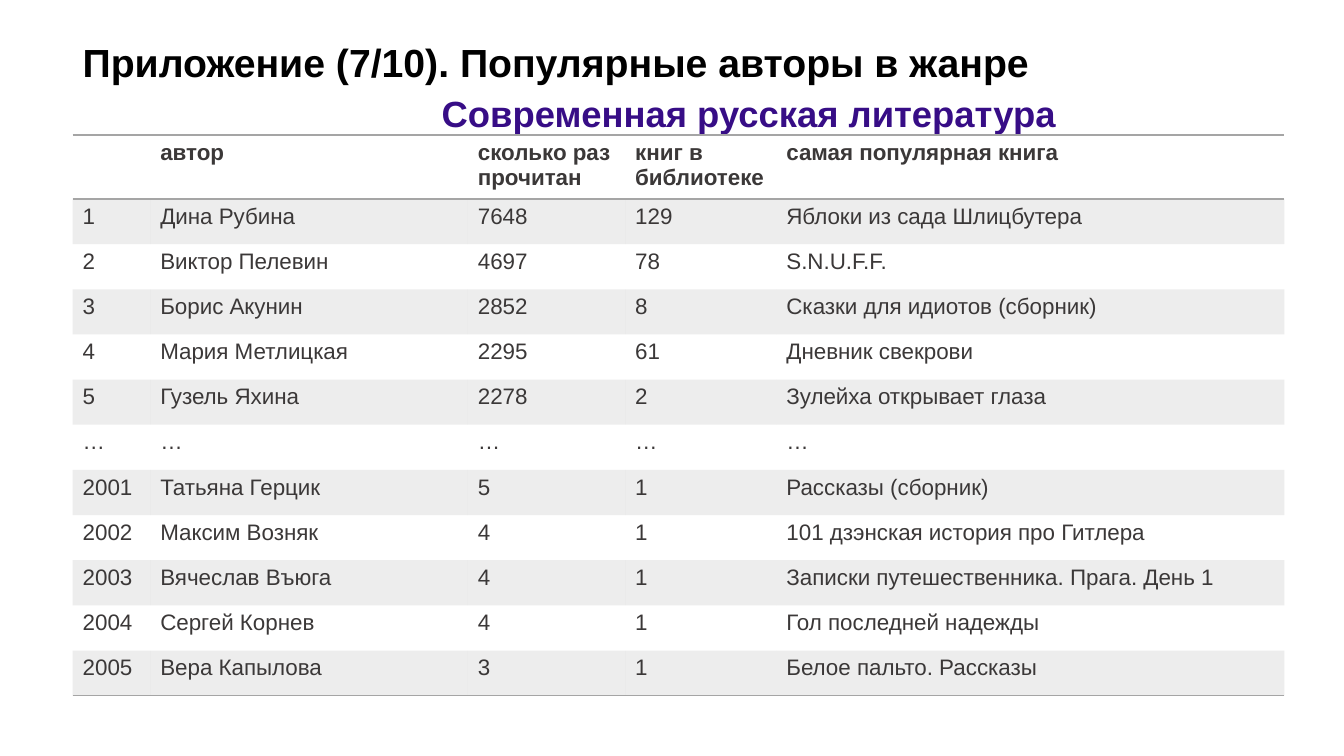
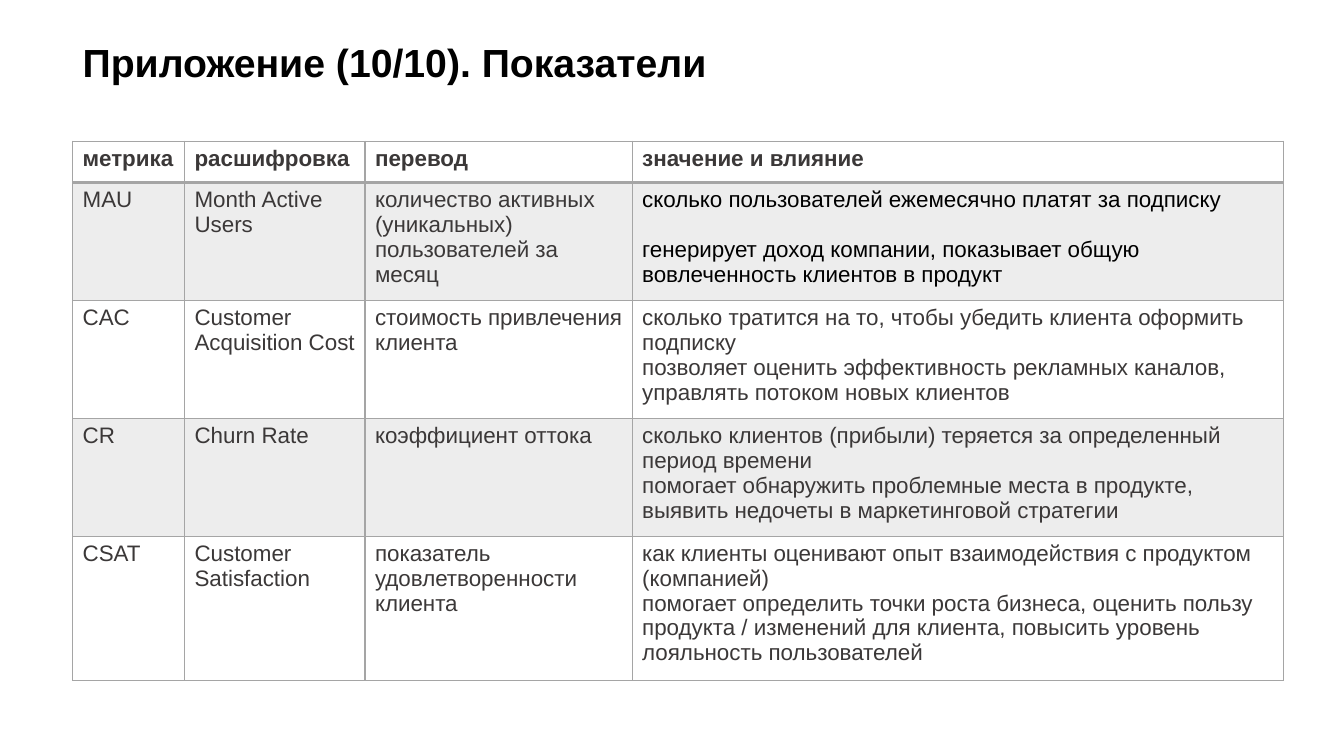
from pptx import Presentation
from pptx.dml.color import RGBColor
from pptx.enum.text import MSO_ANCHOR, MSO_AUTO_SIZE, PP_ALIGN
from pptx.oxml.ns import qn
from pptx.util import Inches, Pt
from lxml.etree import SubElement

COLORS = {
    "title": "000000",
    "genre": "370D86",
    "text": "3B3838",
    "strong": "000000",
    "gray": "A5A5A5",
}
FONT = "Arial"
LEFT = 0.72
TITLE_ONLY = 5
PLAIN_TABLE_STYLE = "{2D5ABB26-0587-4C30-8999-92F81FD0307C}"

AUTHOR_ROWS = [
    ["", "автор", "сколько раз прочитан", "книг в библиотеке", "самая популярная книга"],
    ["1", "Дина Рубина", "7648", "129", "Яблоки из сада Шлицбутера"],
    ["2", "Виктор Пелевин", "4697", "78", "S.N.U.F.F."],
    ["3", "Борис Акунин", "2852", "8", "Сказки для идиотов (сборник)"],
    ["4", "Мария Метлицкая", "2295", "61", "Дневник свекрови"],
    ["5", "Гузель Яхина", "2278", "2", "Зулейха открывает глаза"],
    ["…"] * 5,
    ["2001", "Татьяна Герцик", "5", "1", "Рассказы (сборник)"],
    ["2002", "Максим Возняк", "4", "1", "101 дзэнская история про Гитлера"],
    ["2003", "Вячеслав Въюга", "4", "1", "Записки путешественника. Прага. День 1"],
    ["2004", "Сергей Корнев", "4", "1", "Гол последней надежды"],
    ["2005", "Вера Капылова", "3", "1", "Белое пальто. Рассказы"],
]
METRIC_ROWS = [
    ["метрика", "расшифровка", "перевод", "значение и влияние"],
    ["MAU", "Month Active Users",
     "количество активных (уникальных) пользователей за месяц",
     "сколько пользователей ежемесячно платят за подписку\n"
     "генерирует доход компании, показывает общую вовлеченность клиентов в продукт"],
    ["CAC", "Customer Acquisition Cost", "стоимость привлечения клиента",
     "сколько тратится на то, чтобы убедить клиента оформить подписку\n"
     "позволяет оценить эффективность рекламных каналов, "
     "управлять потоком новых клиентов"],
    ["CR", "Churn Rate", "коэффициент оттока",
     "сколько клиентов (прибыли) теряется за определенный период времени\n"
     "помогает обнаружить проблемные места в продукте, "
     "выявить недочеты в маркетинговой стратегии"],
    ["CSAT", "Customer Satisfaction", "показатель удовлетворенности клиента",
     "как клиенты оценивают опыт взаимодействия с продуктом (компанией)\n"
     "помогает определить точки роста бизнеса, оценить пользу продукта / "
     "изменений для клиента, повысить уровень лояльность пользователей"],
]


def format_runs(para, size, color, bold):
    for span in para.runs:
        span.font.name = FONT
        span.font.size = Pt(size)
        span.font.bold = bold
        span.font.color.rgb = RGBColor.from_string(COLORS[color])


def add_titled_slide(deck, title, height):
    slide = deck.slides.add_slide(deck.slide_layouts[TITLE_ONLY])
    box = slide.shapes.title
    box.left, box.top = Inches(LEFT), Inches(0.29)
    box.width, box.height = Inches(11.5), Inches(height)
    frame = box.text_frame
    frame.text = title
    frame.word_wrap = True
    frame.auto_size = MSO_AUTO_SIZE.SHAPE_TO_FIT_TEXT
    frame.vertical_anchor = MSO_ANCHOR.TOP
    for para in frame.paragraphs:
        para.alignment = PP_ALIGN.LEFT
        para.line_spacing = 1.08
        format_runs(para, 28, "title", True)
    return slide


def format_genre_line(para):
    """Indent the second title line and give it the genre colour."""
    para.space_before = Pt(2)
    para._p.get_or_add_pPr().set("marL", str(Inches(3.56)))
    format_runs(para, 26, "genre", True)


def ruled_borders(row, last):
    """Widths by side: rules around the header and under the last row."""
    if row == 0:
        return {"T": 1, "B": 1}
    return {"B": 1} if row == last else {}


def grid_borders(row, last):
    """Widths by side: a full grid with a heavier rule under the header."""
    return {"L": 1, "R": 1,
            "T": 2 if row == 1 else 1,
            "B": 2 if row == 0 else 1}


def draw_borders(cell, widths):
    properties = cell._tc.get_or_add_tcPr()
    for side in "LRTB":
        if side in widths:
            line = SubElement(properties, qn("a:ln" + side), w=str(Pt(widths[side])))
            fill = SubElement(line, qn("a:solidFill"))
            SubElement(fill, qn("a:srgbClr"), val=COLORS["gray"])


def fill_band(cell):
    """Fill with gray at 20 % opacity."""
    cell.fill.solid()
    cell.fill.fore_color.rgb = RGBColor.from_string(COLORS["gray"])
    color = cell._tc.tcPr.find(".//" + qn("a:solidFill") + "[last()]/" + qn("a:srgbClr")) \
        if cell._tc.tcPr.find(qn("a:solidFill")) is None \
        else cell._tc.tcPr.find(qn("a:solidFill")).find(qn("a:srgbClr"))
    SubElement(color, qn("a:alpha"), val="20000")


def add_table(slide, rows, top, widths, heights, borders):
    frame = slide.shapes.add_table(
        len(rows), len(widths), Inches(LEFT), Inches(top),
        Inches(sum(widths)), Inches(sum(heights)))
    table = frame.table
    table._tbl.tblPr.find(qn("a:tableStyleId")).text = PLAIN_TABLE_STYLE
    table.horz_banding = False
    for column, width in zip(table.columns, widths):
        column.width = Inches(width)
    for index, (row, height, texts) in enumerate(zip(table.rows, heights, rows)):
        row.height = Inches(height)
        for cell, text in zip(row.cells, texts):
            cell.text_frame.text = text
            cell.margin_right = Inches(0.08)
            for para in cell.text_frame.paragraphs:
                format_runs(para, 16, "text", index == 0)
            draw_borders(cell, borders(index, len(rows) - 1))
            if index % 2:
                fill_band(cell)
            else:
                cell.fill.background()
    return table


def add_authors_slide(deck):
    slide = add_titled_slide(
        deck,
        "Приложение (7/10). Популярные авторы в жанре\nСовременная русская литература",
        1.04)
    format_genre_line(slide.shapes.title.text_frame.paragraphs[1])
    header, total = 0.63, 5.56
    body_count = len(AUTHOR_ROWS) - 1
    heights = [header] + [(total - header) / body_count] * body_count
    add_table(slide, AUTHOR_ROWS, 1.34, [0.77, 3.15, 1.56, 1.5, 5.04],
              heights, ruled_borders)


def add_metrics_slide(deck):
    slide = add_titled_slide(deck, "Приложение (10/10). Показатели", 0.57)
    table = add_table(slide, METRIC_ROWS, 1.4, [1.11, 1.79, 2.65, 6.46],
                      [0.41, 1.17, 1.17, 1.17, 1.42], grid_borders)
    meaning, influence = table.cell(1, 3).text_frame.paragraphs
    influence.space_before = Pt(18)
    for para in (meaning, influence):
        format_runs(para, 16, "strong", False)


def main():
    deck = Presentation()
    deck.slide_width, deck.slide_height = Inches(13.33), Inches(7.5)
    add_authors_slide(deck)
    add_metrics_slide(deck)
    deck.save("out.pptx")


if __name__ == "__main__":
    main()
